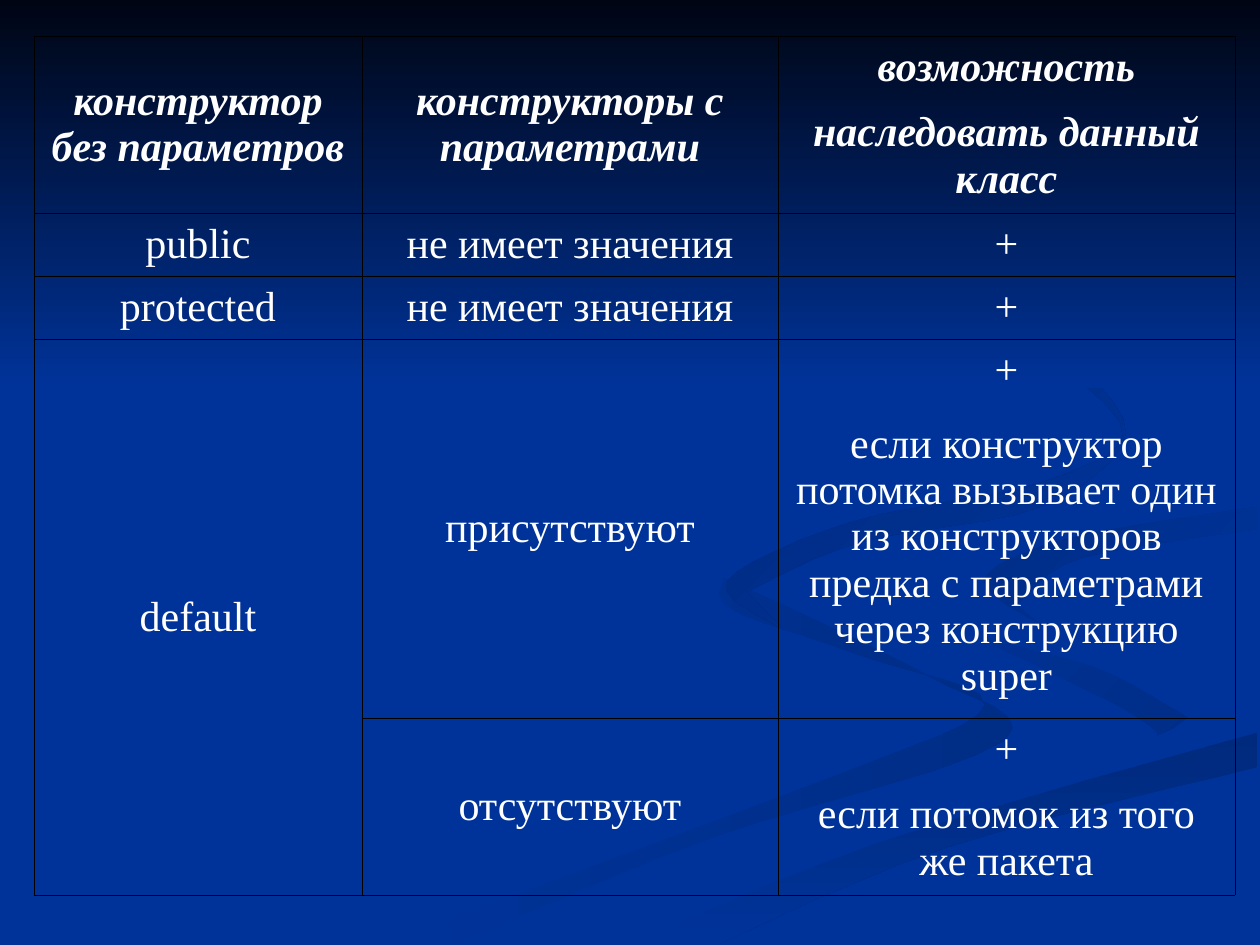
from lxml.etree import SubElement, Element
from pptx import Presentation
from pptx.dml.color import RGBColor
from pptx.enum.text import MSO_ANCHOR, PP_ALIGN
from pptx.oxml.ns import qn
from pptx.util import Pt

PX = 7257.6  # EMU per px, 126 px to the inch
WIDTH, HEIGHT = 1260, 945
FONT, FONT_SIZE = "Times New Roman", Pt(24)
BLUE = RGBColor(0x00, 0x33, 0x99)
NIGHT = RGBColor(0x00, 0x05, 0x14)
SHADE = RGBColor(0x00, 0x2D, 0x86)
DEEP_SHADE = RGBColor(0x00, 0x2A, 0x7D)
WHITE = RGBColor(0xFF, 0xFF, 0xFF)
BLACK = RGBColor(0x00, 0x00, 0x00)

# None continues the cell above
ROWS = [
    ("конструктор без параметров", "конструкторы с параметрами", "возможность"),
    (None, None, "наследовать данный класс"),
    ("public", "не имеет значения", "+"),
    ("protected", "не имеет значения", "+"),
    ("default", "присутствуют", "+"),
    (None, None, "если конструктор потомка вызывает один из конструкторов "
                 "предка с параметрами через конструкцию super"),
    (None, "отсутствуют", "+"),
    (None, None, "если потомок из того же пакета"),
]
HEADER_ROWS = 2
TABLE_LEFT, TABLE_TOP = 34, 36
COLUMN_WIDTHS = [328, 416, 457]
LINE_ROW, HEADING_ROW, CONDITION_ROW = 63, 114, 316
ROW_HEIGHTS = [LINE_ROW, HEADING_ROW, LINE_ROW, LINE_ROW,
               LINE_ROW, CONDITION_ROW, LINE_ROW, HEADING_ROW]

# Backdrop, back to front: start colour, end colour, clockwise angle,
# then the edges, each a smooth curve through its points
BACKDROP = [
    # Lower ribbon
    (BLUE, SHADE, 0, [
        [(724, 578), (732, 609), (856, 654), (985, 705), (822, 781), (378, 944)],
        [(455, 944), (711, 838), (1004, 741), (921, 672), (724, 578)]]),
    # Fold at the right
    (BLUE, SHADE, 45, [
        [(1188, 718), (1096, 668), (955, 627), (912, 585)],
        [(924, 615), (1056, 675), (1157, 732), (1126, 762)]]),
    # Underside of the main ribbon
    (DEEP_SHADE, BLUE, 90, [
        [(634, 944), (877, 843), (1257, 732)],
        [(1257, 767), (948, 847), (719, 944)]]),
    # Main ribbon
    (BLUE, BLUE, 0, [
        [(601, 944), (983, 799), (1188, 718), (1097, 668), (914, 578),
         (993, 532), (1259, 488)],
        [(1259, 507), (1071, 538), (985, 580), (1068, 634), (1259, 678)],
        [(1259, 732), (877, 843), (634, 944)]]),
    # Inner edge of the main ribbon
    (SHADE, BLUE, 45, [
        [(1257, 507), (1070, 538), (984, 580), (1041, 625)],
        [(1016, 605), (1082, 558), (1257, 529)]]),
    # Upper ribbon
    (DEEP_SHADE, BLUE, 45, [
        [(784, 630), (727, 582), (852, 522), (1046, 481), (1120, 422), (960, 294)],
        [(1062, 347), (1126, 433), (1040, 507), (861, 542), (747, 592)]]),
    # Night sky along the top
    (NIGHT, BLUE, 90, [[(0, 0), (WIDTH, 0)], [(WIDTH, 388), (0, 388)]]),
]
CURVE_STEPS = 6


def px(value):
    return round(value * PX)


def smooth(points):
    """Catmull-Rom curve through the points."""
    padded = [points[0], *points, points[-1]]
    curve = []
    for a, b, c, d in zip(padded, padded[1:], padded[2:], padded[3:]):
        for step in range(CURVE_STEPS):
            t = step / CURVE_STEPS
            curve.append(tuple(
                q + t / 2 * (r - p + t * (2 * p - 5 * q + 4 * r - s
                                          + t * (3 * (q - r) + s - p)))
                for p, q, r, s in zip(a, b, c, d)))
    return curve + [points[-1]]


def add_backdrop_part(slide, start, end, angle, edges):
    outline = [point for edge in edges for point in smooth(edge)]
    builder = slide.shapes.build_freeform(*outline[0], scale=PX)
    builder.add_line_segments(outline[1:], close=True)
    shape = builder.convert_to_shape()
    shape.shadow.inherit = False
    shape.line.fill.background()
    if start == end:
        shape.fill.solid()
        shape.fill.fore_color.rgb = start
        return
    shape.fill.gradient()
    shape.fill.gradient_angle = -angle % 360
    for stop, color in zip(shape.fill.gradient_stops, (start, end)):
        stop.color.rgb = color


def set_borders(cell, sides):
    properties = cell._tc.get_or_add_tcPr()
    for index, side in enumerate("LRTB"):
        line = Element(qn(f"a:ln{side}"), w=str(Pt(0.45)))
        if side in sides:
            fill = SubElement(line, qn("a:solidFill"))
            SubElement(fill, qn("a:srgbClr"), val=str(BLACK))
        else:
            SubElement(line, qn("a:noFill"))
        properties.insert(index, line)


def write_cell(cell, text, is_header):
    cell.vertical_anchor = MSO_ANCHOR.MIDDLE
    cell.text_frame.text = text
    paragraph = cell.text_frame.paragraphs[0]
    paragraph.alignment = PP_ALIGN.CENTER
    font = paragraph.runs[0].font
    font.name, font.size = FONT, FONT_SIZE
    font.bold = font.italic = is_header
    font.color.rgb = WHITE


def add_access_table(slide):
    table = slide.shapes.add_table(
        len(ROWS), len(COLUMN_WIDTHS), px(TABLE_LEFT), px(TABLE_TOP),
        px(sum(COLUMN_WIDTHS)), px(sum(ROW_HEIGHTS))).table
    table.first_row = table.horz_banding = False
    for column, width in zip(table.columns, COLUMN_WIDTHS):
        column.width = px(width)
    for row, height in zip(table.rows, ROW_HEIGHTS):
        row.height = px(height)

    last_column = len(COLUMN_WIDTHS) - 1
    for r, texts in enumerate(ROWS):
        for c, text in enumerate(texts):
            cell = table.cell(r, c)
            cell.fill.background()
            sides = "LRTB"
            if c == last_column:  # a verdict and its condition share one frame
                if ROWS[r][1] is None:
                    sides = "LRB"
                elif r + 1 < len(ROWS) and ROWS[r + 1][1] is None:
                    sides = "LRT"
            set_borders(cell, sides)
            if text is None:
                continue
            write_cell(cell, text, r < HEADER_ROWS)
            end = r
            while end + 1 < len(ROWS) and ROWS[end + 1][c] is None:
                end += 1
            if end > r:
                cell.merge(table.cell(end, c))


def main():
    presentation = Presentation()
    presentation.slide_width, presentation.slide_height = px(WIDTH), px(HEIGHT)
    slide = presentation.slides.add_slide(presentation.slide_layouts[6])
    slide.background.fill.solid()
    slide.background.fill.fore_color.rgb = BLUE
    for part in BACKDROP:
        add_backdrop_part(slide, *part)
    add_access_table(slide)
    presentation.save("out.pptx")


if __name__ == "__main__":
    main()
